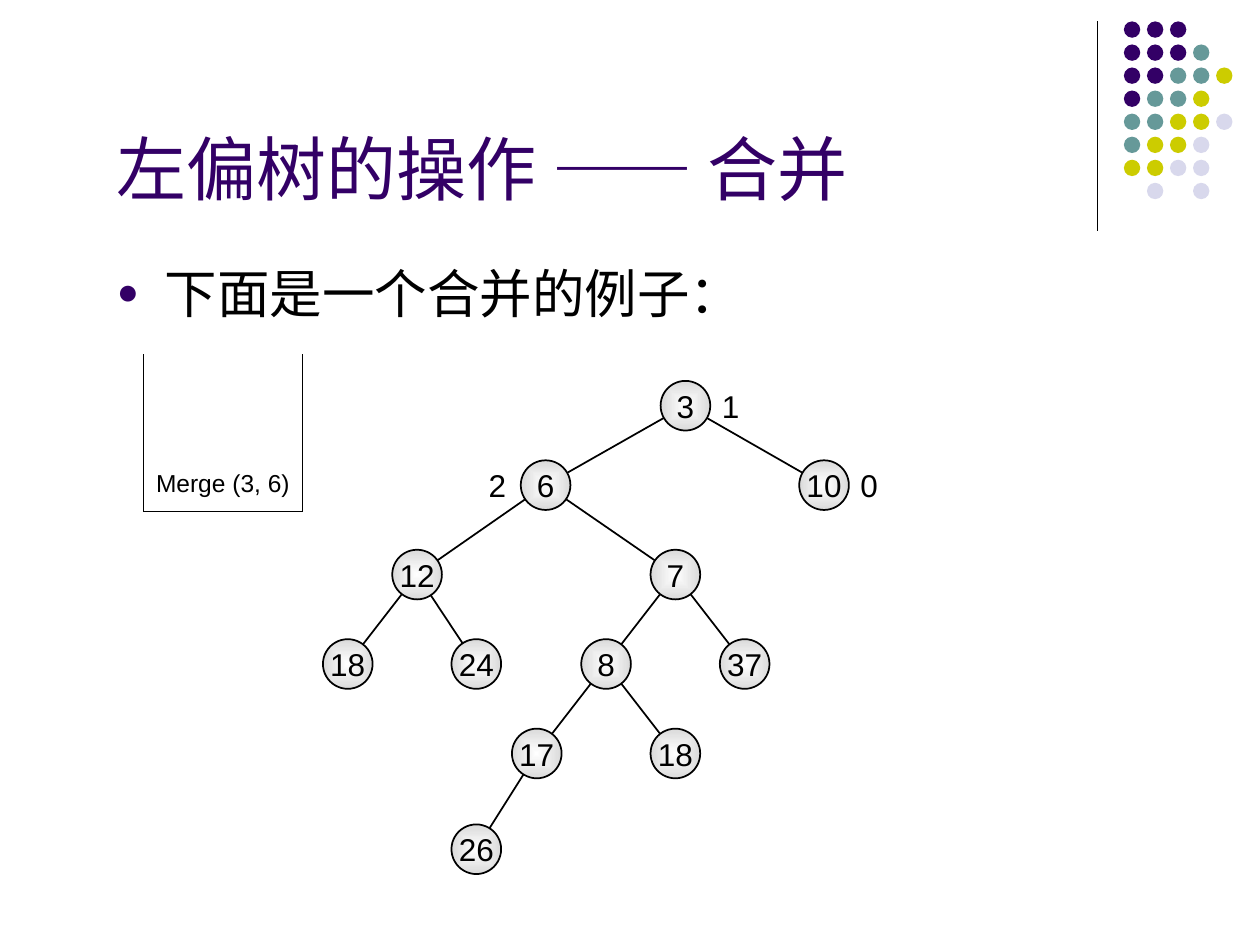
from lxml import etree
from pptx import Presentation
from pptx.dml.color import RGBColor
from pptx.enum.shapes import MSO_CONNECTOR as Connector, MSO_SHAPE as Shape
from pptx.enum.text import MSO_ANCHOR as Anchor, PP_ALIGN as Align
from pptx.oxml.ns import qn
from pptx.util import Inches, Pt

COLORS = {"ink": "000000", "purple": "330066", "teal": "669999",
          "lime": "CCCC00", "mist": "D8D8EC", "center": "FFFFFF", "edge": "DADADA"}
LATIN, CJK = "Arial", "Noto Sans CJK SC"

TITLE = [("左偏树的操作 ", LATIN), ("—— ", CJK), ("合并", LATIN)]
BODY = "下面是一个合并的例子："
CALL = "Merge (3, 6)"
DOTS = ["PPP", "PPPT", "PPTTL", "PTTL", "TTLLM", "TLLM", "LLMM", " M M"]
DOT_COLORS = {"P": "purple", "T": "teal", "L": "lime", "M": "mist"}

LEVELS = [32.2, 38.5, 45.6, 52.7, 59.8, 67.4]
NODES = {
    "root": ("3", 54.4, 0, None),
    "left": ("6", 43.3, 1, "root"),
    "right": ("10", 65.4, 1, "root"),
    "left.left": ("12", 33.1, 2, "left"),
    "left.right": ("7", 53.6, 2, "left"),
    "twelve.left": ("18", 27.6, 3, "left.left"),
    "twelve.right": ("24", 37.8, 3, "left.left"),
    "seven.left": ("8", 48.1, 3, "left.right"),
    "seven.right": ("37", 59.1, 3, "left.right"),
    "eight.left": ("17", 42.6, 4, "seven.left"),
    "eight.right": ("18", 53.6, 4, "seven.left"),
    "bottom": ("26", 37.8, 5, "eight.left"),
}
DISTANCES = [("1", "root", 3.5), ("2", "left", -3.9), ("0", "right", 3.5)]
NODE_SIZE, LABEL_SIZE = 3.94, (3.2, 4)
FRAME = [(11.4, 28.1), (11.4, 40.6), (24, 40.6), (24, 28.1)]
DOT_ORIGIN, DOT_SIZE, DOT_PITCH = (89.2, 1.7), 1.3, 1.83

COLUMNS, ROWS = 100, 75
presentation = Presentation()
presentation.slide_width, presentation.slide_height = Inches(10), Inches(7.5)
slide = presentation.slides.add_slide(presentation.slide_layouts[6])
shapes = slide.shapes


def place(x, y):
    return (round(presentation.slide_width * x / COLUMNS),
            round(presentation.slide_height * y / ROWS))


def rgb(name):
    return RGBColor.from_string(COLORS[name])


def add_line(start, end, width):
    line = shapes.add_connector(Connector.STRAIGHT, *place(*start), *place(*end))
    line.line.color.rgb = rgb("ink")
    line.line.width = Pt(width)
    etree.SubElement(line._element.spPr, qn("a:effectLst"))


def add_circle(x, y, size):
    circle = shapes.add_shape(Shape.OVAL, *place(x, y), *place(size, size))
    circle.shadow.inherit = False
    return circle


def style(paragraph, size, color="ink", align=Align.LEFT):
    paragraph.alignment = align
    paragraph.font.size = Pt(size)
    paragraph.font.name = LATIN
    paragraph.font.color.rgb = rgb(color)


def add_text(x, y, width, height, text, size, color="ink",
             align=Align.LEFT, anchor=Anchor.TOP, wrap=True):
    box = shapes.add_textbox(*place(x, y), *place(width, height))
    box.text_frame.word_wrap = wrap
    box.text_frame.vertical_anchor = anchor
    paragraph = box.text_frame.paragraphs[0]
    paragraph.text = text
    style(paragraph, size, color, align)
    return paragraph


def add_bullet(paragraph, color, percent, character):
    properties = paragraph._p.get_or_add_pPr()
    properties.set("marL", str(Inches(0.38)))
    properties.set("indent", str(-Inches(0.38)))
    bullet_color = etree.Element(qn("a:buClr"))
    etree.SubElement(bullet_color, qn("a:srgbClr"), val=COLORS[color])
    parts = [bullet_color,
             etree.Element(qn("a:buSzPct"), val=str(percent * 1000)),
             etree.Element(qn("a:buFont"), typeface=LATIN),
             etree.Element(qn("a:buChar"), char=character)]
    for index, part in enumerate(parts):
        properties.insert(index, part)


def fill_radial(fill):
    fill.gradient()
    for stop, name in zip(fill.gradient_stops, ("center", "edge")):
        stop.color.rgb = rgb(name)
    gradient = fill._xPr.find(qn("a:gradFill"))
    linear = gradient.find(qn("a:lin"))
    radial = etree.Element(qn("a:path"), path="shape")
    etree.SubElement(radial, qn("a:fillToRect"), l="50000", t="50000", r="50000", b="50000")
    gradient.replace(linear, radial)


def add_node(text, center_x, center_y):
    node = add_circle(center_x - NODE_SIZE / 2, center_y - NODE_SIZE / 2, NODE_SIZE)
    fill_radial(node.fill)
    node.line.color.rgb = rgb("ink")
    node.line.width = Pt(1)
    node.text_frame.word_wrap = False
    node.text_frame.vertical_anchor = Anchor.MIDDLE
    paragraph = node.text_frame.paragraphs[0]
    paragraph.text = text
    style(paragraph, 18, align=Align.CENTER)


add_line((87.1, 1.7), (87.1, 18.3), 0.75)
for row, pattern in enumerate(DOTS):
    for column, key in enumerate(pattern):
        if key in DOT_COLORS:
            dot = add_circle(DOT_ORIGIN[0] + column * DOT_PITCH,
                             DOT_ORIGIN[1] + row * DOT_PITCH, DOT_SIZE)
            dot.fill.solid()
            dot.fill.fore_color.rgb = rgb(DOT_COLORS[key])
            dot.line.fill.background()

title = add_text(8.3, 8.4, 85.1, 8.7, "", 40, "purple", anchor=Anchor.BOTTOM)
for text, font_name in TITLE:
    run = title.add_run()
    run.text = text
    if font_name != LATIN:
        run.font.name = font_name
        etree.SubElement(run.font._element, qn("a:ea"), typeface=font_name)

body = add_text(8.3, 20.2, 84.3, 48.8, BODY, 30)
add_bullet(body, "purple", 70, "●")

add_text(11.4, 29.7, 12.6, 10.3, CALL, 14, anchor=Anchor.BOTTOM, wrap=False)
for start, end in zip(FRAME, FRAME[1:]):
    add_line(start, end, 0.75)

centers = {name: (x, LEVELS[level]) for name, (_, x, level, _) in NODES.items()}
for name, (_, _, _, parent) in NODES.items():
    if parent:
        add_line(centers[parent], centers[name], 1)
for name, (text, _, _, _) in NODES.items():
    add_node(text, *centers[name])

for text, name, offset in DISTANCES:
    x, y = centers[name]
    width, height = LABEL_SIZE
    add_text(x + offset - width / 2, y - height / 2, width, height, text, 18,
             align=Align.CENTER)

presentation.save("out.pptx")
